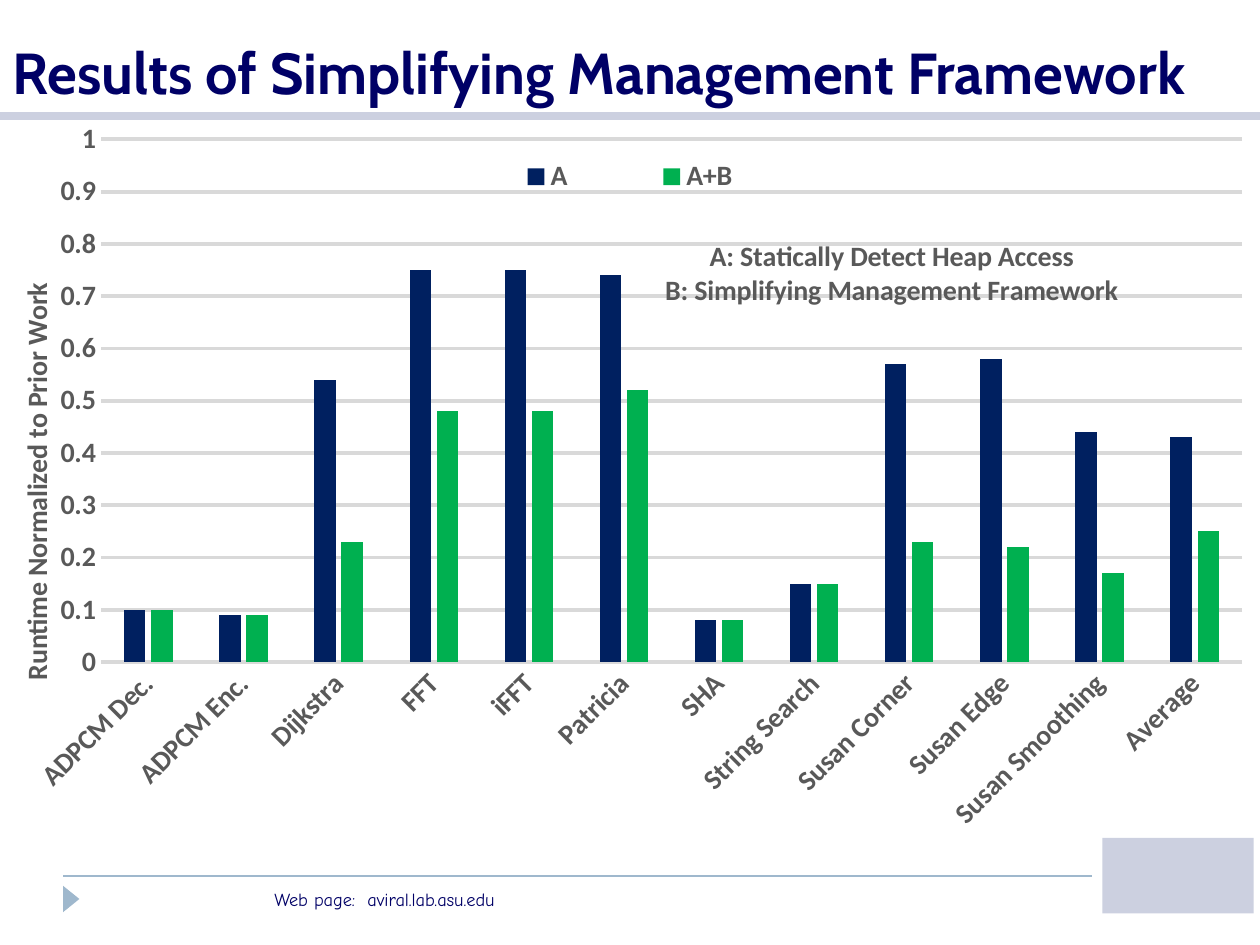
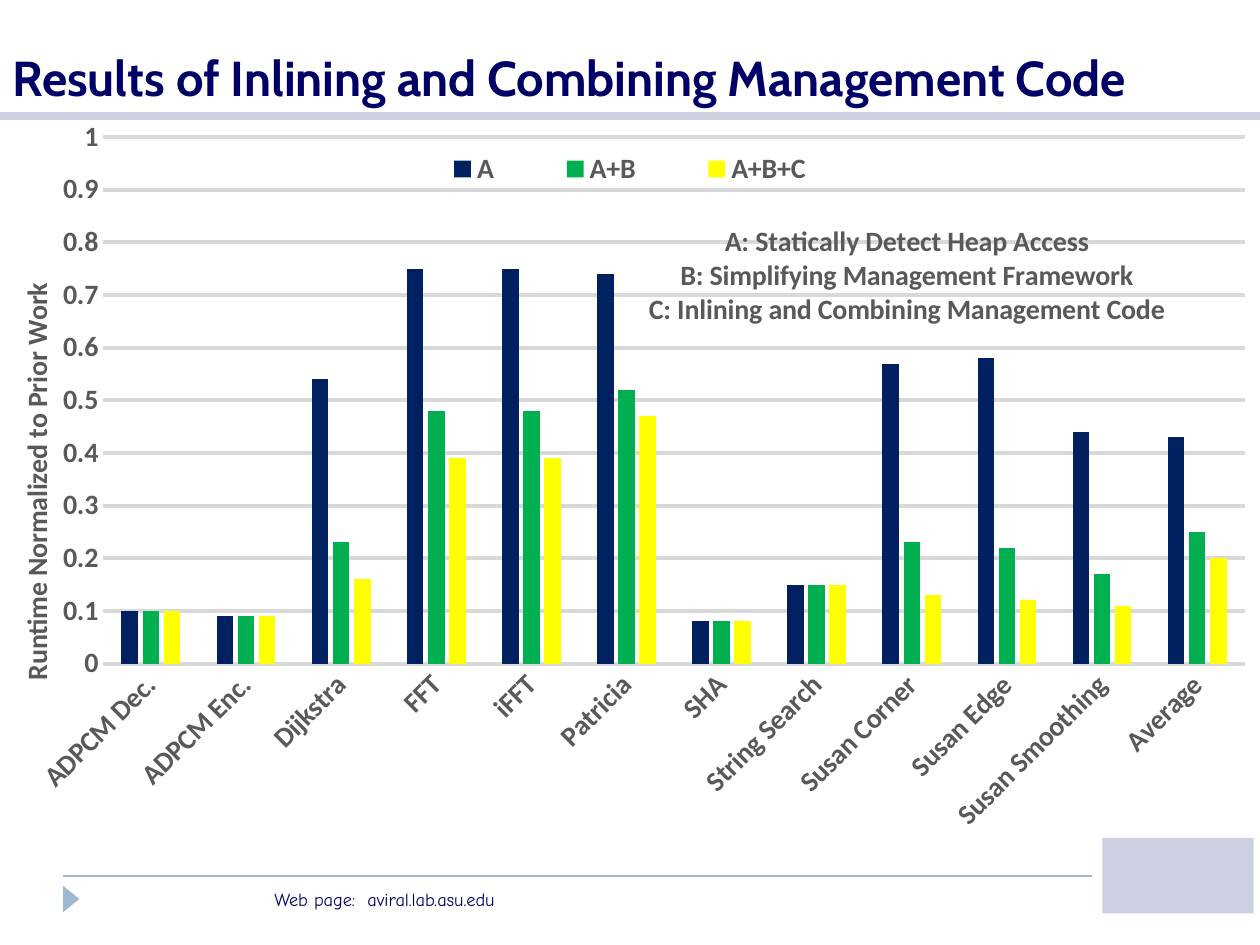
"""Build two slides of runtime results, each with a clustered column chart."""
import pptx
import pptx.chart.data
import pptx.dml.color
import pptx.enum.chart
import pptx.enum.shapes
import pptx.enum.text
import pptx.oxml
import pptx.oxml.ns
import pptx.util

Inches, Pt = pptx.util.Inches, pptx.util.Pt

NAVY, STEEL, BAND, GREY, GRID = "000066", "9FB8CD", "CCD0E0", "595959", "D9D9D9"
FOOTER = "Web page:  aviral.lab.asu.edu"
AXIS_TITLE = "Runtime Normalized to Prior Work"
CHART_FONT = {"name": "Calibri", "size": Pt(16), "bold": True}
CATEGORIES = ["ADPCM Dec.", "ADPCM Enc.", "Dijkstra", "FFT", "iFFT", "Patricia", "SHA",
              "String Search", "Susan Corner", "Susan Edge", "Susan Smoothing", "Average"]
SERIES = [
    ("A", "002060", [0.1, 0.09, 0.54, 0.75, 0.75, 0.74, 0.08, 0.15, 0.57, 0.58, 0.44, 0.43]),
    ("A+B", "00B050", [0.1, 0.09, 0.23, 0.48, 0.48, 0.52, 0.08, 0.15, 0.23, 0.22, 0.17, 0.25]),
    ("A+B+C", "FFFF00", [0.1, 0.09, 0.16, 0.39, 0.39, 0.47, 0.08, 0.15, 0.13, 0.12, 0.11, 0.2]),
]
STEPS = ["A: Statically Detect Heap Access",
         "B: Simplifying Management Framework",
         "C: Inlining and Combining Management Code"]
SLIDES = [
    {"title": "Results of Simplifying Management Framework", "size": 33, "count": 2,
     "plot": (0.08, 0.036, 0.906, 0.688), "legend": (0.35, 0.05, 0.3, 0.07),
     "steps": (0.525, 0.16)},
    {"title": "Results of Inlining and Combining Management Code", "size": 28, "count": 3,
     "plot": (0.082, 0.033, 0.906, 0.693), "legend": (0.31, 0.04, 0.38, 0.07),
     "steps": (0.512, 0.14)},
]


def rgb(value):
    return pptx.dml.color.RGBColor.from_string(value)


def set_font(font, color, values):
    for name, value in values.items():
        setattr(font, name, value)
    font.color.rgb = rgb(color)


def add_text(s, text, box, anchor, values):
    tf = s.shapes.add_textbox(*map(Inches, box)).text_frame
    tf.word_wrap = True
    tf.vertical_anchor = anchor
    r = tf.paragraphs[0].add_run()
    r.text = text
    set_font(r.font, NAVY, values)


def add_rule(s, left, right, y, color, width):
    line = s.shapes.add_connector(pptx.enum.shapes.MSO_CONNECTOR.STRAIGHT,
                                  *map(Inches, (left, y, right, y)))
    line.line.color.rgb = rgb(color)
    line.line.width = Pt(width)
    line._element.spPr.append(pptx.oxml.parse_xml(
        f'<a:effectLst {pptx.oxml.ns.nsdecls("a")}/>'))


def add_plain_shape(s, kind, box, color, rotation=0):
    sp = s.shapes.add_shape(kind, *map(Inches, box))
    sp.shadow.inherit = False
    sp.fill.solid()
    sp.fill.fore_color.rgb = rgb(color)
    sp.line.fill.background()
    sp.rotation = rotation


def add_frame(s, title, size):
    shapes = pptx.enum.shapes.MSO_SHAPE
    anchors = pptx.enum.text.MSO_ANCHOR
    add_rule(s, 0.5, 8.67, 6.95, STEEL, 1)
    add_rule(s, 0, 10, 0.92, BAND, 5)
    add_plain_shape(s, shapes.ISOSCELES_TRIANGLE, (0.46, 7.07, 0.21, 0.13), STEEL, 90)
    add_plain_shape(s, shapes.RECTANGLE, (8.75, 6.65, 1.2, 0.6), BAND)
    add_text(s, FOOTER, (2.08, 7, 3.75, 0.28), anchors.TOP,
             {"name": "Comic Neue", "size": Pt(10.5)})
    add_text(s, title, (0, 0, 10, 0.89), anchors.BOTTOM,
             {"name": "Cabin", "size": Pt(size), "bold": True})


def place(parent, position, inner=False):
    """Give a chart part a manual layout in fractions of the chart."""
    for old in parent.findall(pptx.oxml.ns.qn("c:layout")):
        parent.remove(old)
    target = '<c:layoutTarget val="inner"/>' if inner else ""
    modes = "".join(f'<c:{k}Mode val="edge"/>' for k in "xy")
    sizes = "".join(f'<c:{k} val="{v}"/>' for k, v in zip("xywh", position))
    layout = pptx.oxml.parse_xml(
        f'<c:layout {pptx.oxml.ns.nsdecls("c")}><c:manualLayout>'
        f'{target}{modes}{sizes}</c:manualLayout></c:layout>')
    overlay = parent.find(pptx.oxml.ns.qn("c:overlay"))
    (parent[0] if overlay is None else overlay).addprevious(layout)


def rotate(element, degrees):
    body = element.xpath(".//a:bodyPr")[0]
    body.set("rot", str(degrees * 60000))
    body.set("vert", "horz")


def write_title(title, text, position):
    tf = title.text_frame
    tf.text = text
    for p in tf.paragraphs:
        set_font(p.font, GREY, CHART_FONT)
        for r in p.runs:
            set_font(r.font, GREY, CHART_FONT)
    place(title._element, position)


def style_axes(chart):
    enums = pptx.enum.chart
    cat, val = chart.category_axis, chart.value_axis
    for axis in (cat, val):
        axis.major_tick_mark = axis.minor_tick_mark = enums.XL_TICK_MARK.NONE
        set_font(axis.tick_labels.font, GREY, CHART_FONT)
    cat.format.line.color.rgb = rgb(GRID)
    cat.format.line.width = Pt(0.75)
    rotate(cat._element.find(pptx.oxml.ns.qn("c:txPr")), -45)
    for name, value in {"minimum_scale": 0, "maximum_scale": 1, "major_unit": 0.1,
                        "has_major_gridlines": True}.items():
        setattr(val, name, value)
    val.format.line.fill.background()
    val.major_gridlines.format.line.color.rgb = rgb(GRID)
    val.major_gridlines.format.line.width = Pt(2.25)
    write_title(val.axis_title, AXIS_TITLE, (0.01, 0.218))
    rotate(val.axis_title._element, -90)


def add_results(s, item):
    enums = pptx.enum.chart
    series = SERIES[:item["count"]]
    data = pptx.chart.data.CategoryChartData()
    data.categories = CATEGORIES
    for name, _, values in series:
        data.add_series(name, values)
    chart = s.shapes.add_chart(enums.XL_CHART_TYPE.COLUMN_CLUSTERED,
                               *map(Inches, (0, 0.89, 10, 6.03)), data).chart
    set_font(chart.font, GREY, CHART_FONT)
    plot = chart.plots[0]
    for name, value in {"gap_width": 219, "overlap": -27, "vary_by_categories": False}.items():
        setattr(plot, name, value)
    for bars, (_, color, _) in zip(plot.series, series):
        bars.format.fill.solid()
        bars.format.fill.fore_color.rgb = rgb(color)
    style_axes(chart)
    chart.has_title = True
    write_title(chart.chart_title, "\n".join(STEPS[:item["count"]]), item["steps"])
    chart.has_legend = True
    chart.legend.position = enums.XL_LEGEND_POSITION.BOTTOM
    chart.legend.include_in_layout = False
    set_font(chart.legend.font, GREY, CHART_FONT)
    place(chart.legend._element, item["legend"])
    place(chart._chartSpace.xpath("c:chart/c:plotArea")[0], item["plot"], inner=True)


def main():
    prs = pptx.Presentation()
    prs.slide_width, prs.slide_height = Inches(10), Inches(7.5)
    for item in SLIDES:
        s = prs.slides.add_slide(prs.slide_layouts[6])
        add_frame(s, item["title"], item["size"])
        add_results(s, item)
    prs.save("out.pptx")


if __name__ == "__main__":
    main()
